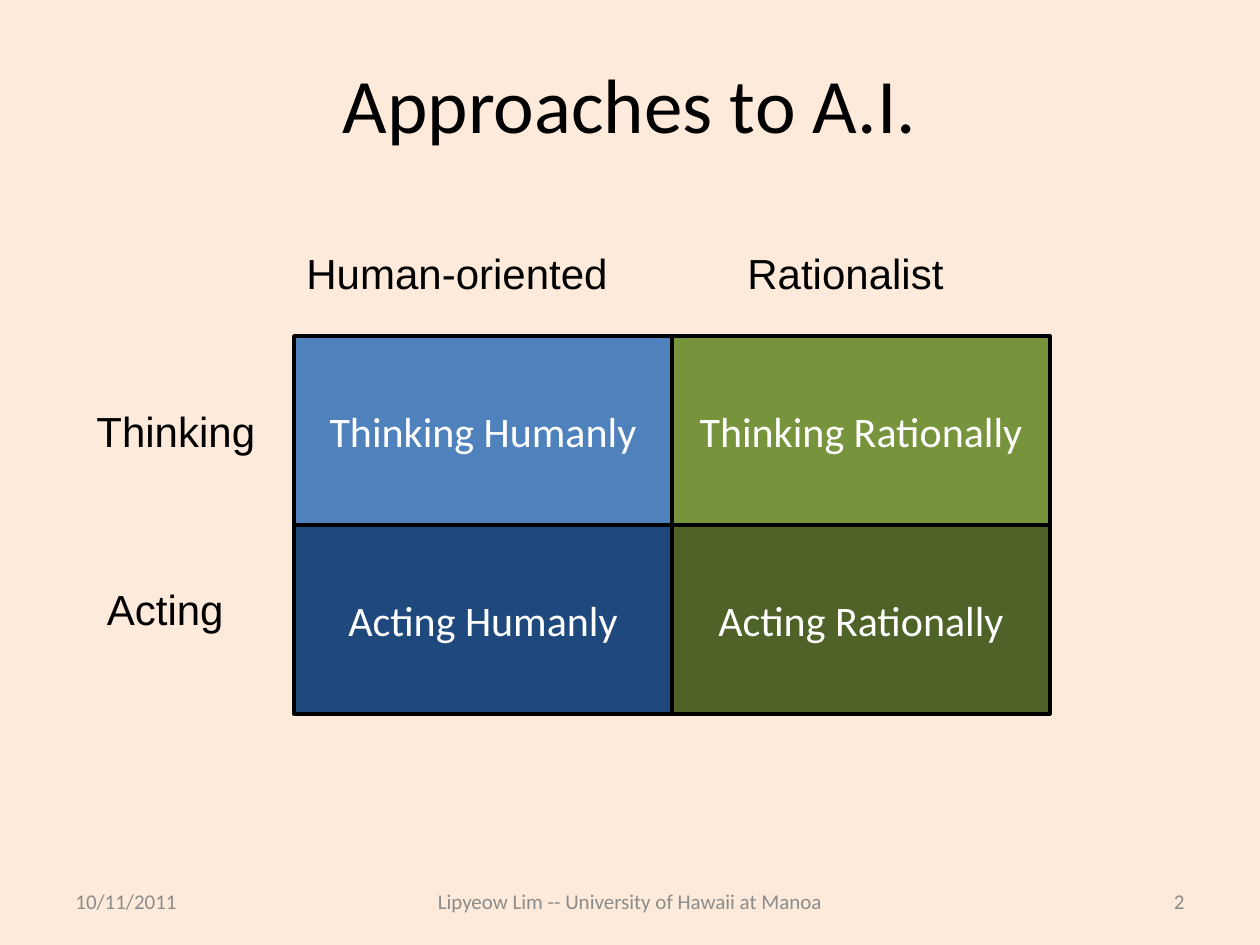
from pptx import Presentation
from pptx.dml.color import RGBColor
from pptx.enum.shapes import MSO_SHAPE as Shape
from pptx.enum.text import MSO_ANCHOR as Anchor, PP_ALIGN as Align
from pptx.util import Pt

COLORS = {
    "background": "FDEADA", "black": "000000", "white": "FFFFFF",
    "footer": "8C8C8C", "number": "898989",
    "blue": "4F81BD", "green": "77933C",
    "dark blue": "1F497D", "dark green": "4F6228",
}

TITLE = "Approaches to A.I."
# Rows of the matrix: (text, fill)
APPROACHES = [
    [("Thinking Humanly", "blue"), ("Thinking Rationally", "green")],
    [("Acting Humanly", "dark blue"), ("Acting Rationally", "dark green")],
]
# Headings: (text, left, top, width)
HEADINGS = [
    ("Human-oriented", 168, 138, 189),
    ("Rationalist", 420, 138, 128),
    ("Thinking", 48, 228, 107),
    ("Acting", 54, 330, 82),
]
# Footer: (text, left, width, alignment, color)
FOOTER = [
    ("10/11/2011", 36, 168, Align.LEFT, "footer"),
    ("Lipyeow Lim -- University of Hawaii at Manoa", 216, 288, Align.CENTER, "footer"),
    ("2", 516, 168, Align.RIGHT, "number"),
]
MATRIX_LEFT, MATRIX_TOP = 168, 192
CELL_WIDTH, CELL_HEIGHT = 216, 108


def rgb(name):
    return RGBColor.from_string(COLORS[name])


def write(holder, text, size=24, font="Calibri", color="black",
          align=Align.CENTER, anchor=Anchor.MIDDLE, wrap=True):
    frame = holder.text_frame
    frame.word_wrap = wrap
    frame.vertical_anchor = anchor
    paragraph = frame.paragraphs[0]
    paragraph.alignment = align
    run = paragraph.add_run()
    run.text = text
    run.font.size = Pt(size)
    run.font.name = font
    run.font.color.rgb = rgb(color)


deck = Presentation()
deck.slide_width, deck.slide_height = Pt(720), Pt(540)
slide = deck.slides.add_slide(deck.slide_layouts[5])
slide.background.fill.solid()
slide.background.fill.fore_color.rgb = rgb("background")

# Title
title = slide.shapes.title
title.left, title.top, title.width, title.height = Pt(36), Pt(21.6), Pt(648), Pt(74)
write(title, TITLE, size=44)

# Footer
for text, left, width, align, color in FOOTER:
    footer = slide.shapes.add_textbox(Pt(left), Pt(500.5), Pt(width), Pt(28.75))
    write(footer, text, size=12, color=color, align=align)

# Column and row headings
for text, left, top, width in HEADINGS:
    heading = slide.shapes.add_textbox(Pt(left), Pt(top), Pt(width), Pt(36))
    write(heading, text, font="Arial", align=Align.LEFT, anchor=Anchor.TOP, wrap=False)

# Matrix of approaches
for row, approaches in enumerate(APPROACHES):
    for column, (text, fill) in enumerate(approaches):
        cell = slide.shapes.add_shape(
            Shape.RECTANGLE,
            Pt(MATRIX_LEFT + column * CELL_WIDTH), Pt(MATRIX_TOP + row * CELL_HEIGHT),
            Pt(CELL_WIDTH), Pt(CELL_HEIGHT))
        cell.shadow.inherit = False
        cell.fill.solid()
        cell.fill.fore_color.rgb = rgb(fill)
        cell.line.color.rgb = rgb("black")
        cell.line.width = Pt(2)
        write(cell, text, color="white")

deck.save("out.pptx")
